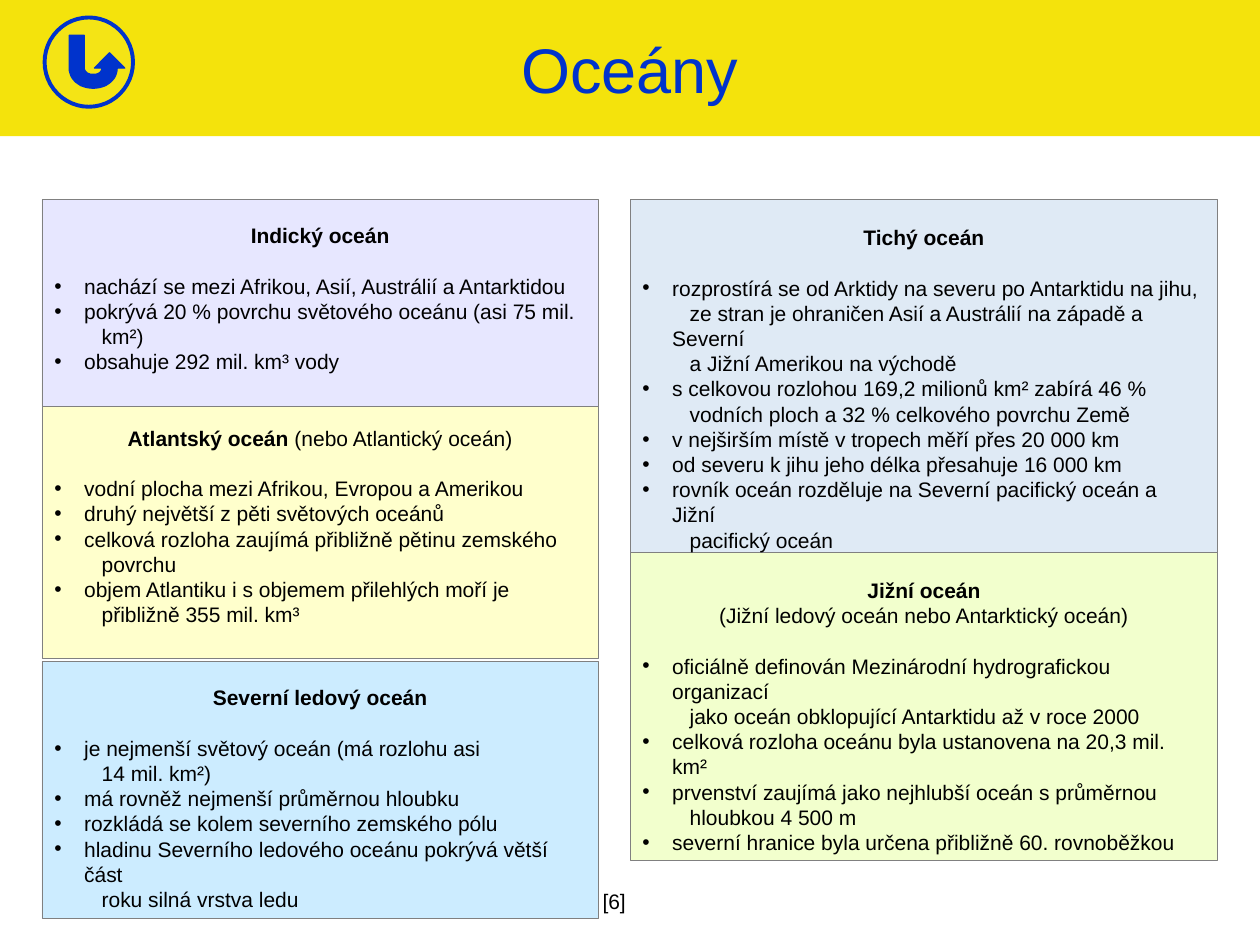
from lxml import etree
from pptx import Presentation
from pptx.dml.color import RGBColor
from pptx.enum.shapes import MSO_SHAPE
from pptx.enum.text import MSO_ANCHOR, PP_ALIGN
from pptx.oxml.ns import qn
from pptx.util import Pt

RECTANGLE, OVAL = MSO_SHAPE.RECTANGLE, MSO_SHAPE.OVAL
TOP, MIDDLE = MSO_ANCHOR.TOP, MSO_ANCHOR.MIDDLE
LEFT, CENTER = PP_ALIGN.LEFT, PP_ALIGN.CENTER

BLACK = RGBColor(0x00, 0x00, 0x00)
WHITE = RGBColor(0xFF, 0xFF, 0xFF)
GRAY = RGBColor(0x80, 0x80, 0x80)
BLUE = RGBColor(0x00, 0x33, 0xCC)
YELLOW = RGBColor(0xF4, 0xE3, 0x0C)
LIME = RGBColor(0xF2, 0xFF, 0xCD)
CREAM = RGBColor(0xFF, 0xFF, 0xCC)
SKY = RGBColor(0xCC, 0xEC, 0xFF)
LILAC = RGBColor(0xE7, 0xE7, 0xFF)
MIST = RGBColor(0xDF, 0xEA, 0xF5)

LINE_HEIGHT = 14.4
HANG = 17
CONTINUATION = 10
LEFT_COLUMN = (24, 318)
RIGHT_COLUMN = (360, 336)


def add_span(para, text, size=12, color=BLACK, bold=False):
    span = para.add_run()
    span.text = text
    span.font.color.rgb = color
    for name, value in {"name": "Arial", "size": Pt(size), "bold": bold}.items():
        setattr(span.font, name, value)


def style_shape(shape, fill, line=None, width=0.5):
    shape.shadow.inherit = False
    shape.fill.solid()
    shape.fill.fore_color.rgb = fill
    if line is None:
        shape.line.fill.background()
    else:
        shape.line.color.rgb = line
        shape.line.width = Pt(width)


# Column, top, height, top margin, fill, heading lines (text, bold), items
oceans = [
    (RIGHT_COLUMN, 312, 180, 18, LIME,
     [[("Jižní oceán", True)],
      [("(Jižní ledový oceán nebo Antarktický oceán)", False)]],
     ["oficiálně definován Mezinárodní hydrografickou organizací\n"
      "jako oceán obklopující Antarktidu až v roce 2000",
      "celková rozloha oceánu byla ustanovena na 20,3 mil. km²",
      "prvenství zaujímá jako nejhlubší oceán s průměrnou\nhloubkou 4 500 m",
      "severní hranice byla určena přibližně 60. rovnoběžkou"]),
    (LEFT_COLUMN, 219, 157.5, 24, CREAM,
     [[("Atlantský oceán", True), (" (nebo Atlantický oceán)", False)]],
     ["vodní plocha mezi Afrikou, Evropou a Amerikou",
      "druhý největší z pěti světových oceánů",
      "celková rozloha zaujímá přibližně pětinu zemského\npovrchu",
      "objem Atlantiku i s objemem přilehlých moří je\npřibližně 355 mil. km³"]),
    (LEFT_COLUMN, 378, 147, 13.4, SKY,
     [[("Severní ledový oceán", True)]],
     ["je nejmenší světový oceán (má rozlohu asi\n14 mil. km²)",
      "má rovněž nejmenší průměrnou hloubku",
      "rozkládá se kolem severního zemského pólu",
      "hladinu Severního ledového oceánu pokrývá větší část\n"
      "roku silná vrstva ledu"]),
    (LEFT_COLUMN, 114, 118, 13.4, LILAC,
     [[("Indický oceán", True)]],
     ["nachází se mezi Afrikou, Asií, Austrálií a Antarktidou",
      "pokrývá 20 % povrchu světového oceánu (asi 75 mil.\nkm²)",
      "obsahuje 292 mil. km³ vody"]),
    (RIGHT_COLUMN, 114, 201.6, 14.4, MIST,
     [[("Tichý oceán", True)]],
     ["rozprostírá se od Arktidy na severu po Antarktidu na jihu,\n"
      "ze stran je ohraničen Asií a Austrálií na západě a Severní\n"
      "a Jižní Amerikou na východě",
      "s celkovou rozlohou 169,2 milionů km² zabírá 46 %\n"
      "vodních ploch a 32 % celkového povrchu Země",
      "v nejširším místě v tropech měří přes 20 000 km",
      "od severu k jihu jeho délka přesahuje 16 000 km",
      "rovník oceán rozděluje na Severní pacifický oceán a Jižní\n"
      "pacifický oceán"]),
]

deck = Presentation()
deck.slide_width, deck.slide_height = Pt(720), Pt(540)
page = deck.slides.add_slide(deck.slide_layouts[6])

# Title band
band = page.shapes.add_shape(RECTANGLE, 0, 0, Pt(720), Pt(77.8))
style_shape(band, YELLOW)
band.text_frame.vertical_anchor = MIDDLE
para = band.text_frame.paragraphs[0]
para.alignment = CENTER
add_span(para, "Oceány", 36, BLUE)

# Return button
ring = page.shapes.add_shape(OVAL, Pt(25.5), Pt(10), Pt(50.5), Pt(51))
style_shape(ring, WHITE, BLUE, 2.25)
fill_color = ring.fill._xPr.find(qn("a:solidFill"))[0]
etree.SubElement(fill_color, qn("a:alpha"), val="4000")

# Arrow outline in tenths of a point: one point is a line, three are a curve
arrow_steps = [
    [(713, 389)], [(670, 389)],
    [(670, 454), (612, 504), (533, 504)],
    [(454, 504), (396, 454), (396, 389)],
    [(396, 202)], [(482, 202)], [(482, 389)],
    [(482, 410), (504, 425), (526, 425)],
    [(540, 425)],
    [(562, 425), (583, 410), (583, 389)],
    [(540, 389)],
]
outline = [(626, 302)]
for step in arrow_steps:
    if len(step) == 1:
        outline += step
        continue
    corners = [outline[-1]] + step
    for i in range(1, 13):
        t = i / 12
        weights = ((1 - t) ** 3, 3 * t * (1 - t) ** 2, 3 * t * t * (1 - t), t ** 3)
        outline.append(tuple(sum(w * corner[axis] for w, corner in zip(weights, corners))
                             for axis in (0, 1)))
builder = page.shapes.build_freeform(*outline[0], scale=Pt(0.1))
builder.add_line_segments(outline[1:], close=True)
style_shape(builder.convert_to_shape(), BLUE, BLUE, 0.75)

# Ocean panels
for (left, width), top, height, margin_top, fill, headings, items in oceans:
    box = page.shapes.add_shape(RECTANGLE, Pt(left), Pt(top), Pt(width), Pt(height))
    style_shape(box, fill, GRAY)
    frame = box.text_frame
    frame_format = {"word_wrap": True, "vertical_anchor": TOP,
                    "margin_left": Pt(7.2), "margin_right": Pt(7.2),
                    "margin_top": Pt(margin_top), "margin_bottom": 0}
    for name, value in frame_format.items():
        setattr(frame, name, value)
    for number, heading in enumerate(headings):
        para = frame.add_paragraph() if number else frame.paragraphs[0]
        para.alignment = CENTER
        for text, bold in heading:
            add_span(para, text, bold=bold)
    for item_number, item in enumerate(items):
        for line_number, text in enumerate(item.split("\n")):
            para = frame.add_paragraph()
            para.alignment = LEFT
            properties = para._p.get_or_add_pPr()
            properties.set("marL", str(Pt(HANG)))
            properties.set("indent", str(Pt(CONTINUATION if line_number else -HANG)))
            if line_number == 0:
                etree.SubElement(properties, qn("a:buFont"), typeface="Arial")
                etree.SubElement(properties, qn("a:buChar"), char="•")
                if item_number == 0:
                    para.space_before = Pt(LINE_HEIGHT)
            add_span(para, text)

# Reference number
reference = page.shapes.add_textbox(Pt(336), Pt(504), Pt(30), Pt(21.8))
reference.text_frame.word_wrap = True
para = reference.text_frame.paragraphs[0]
para.alignment = CENTER
add_span(para, "[6]")

deck.save("out.pptx")
